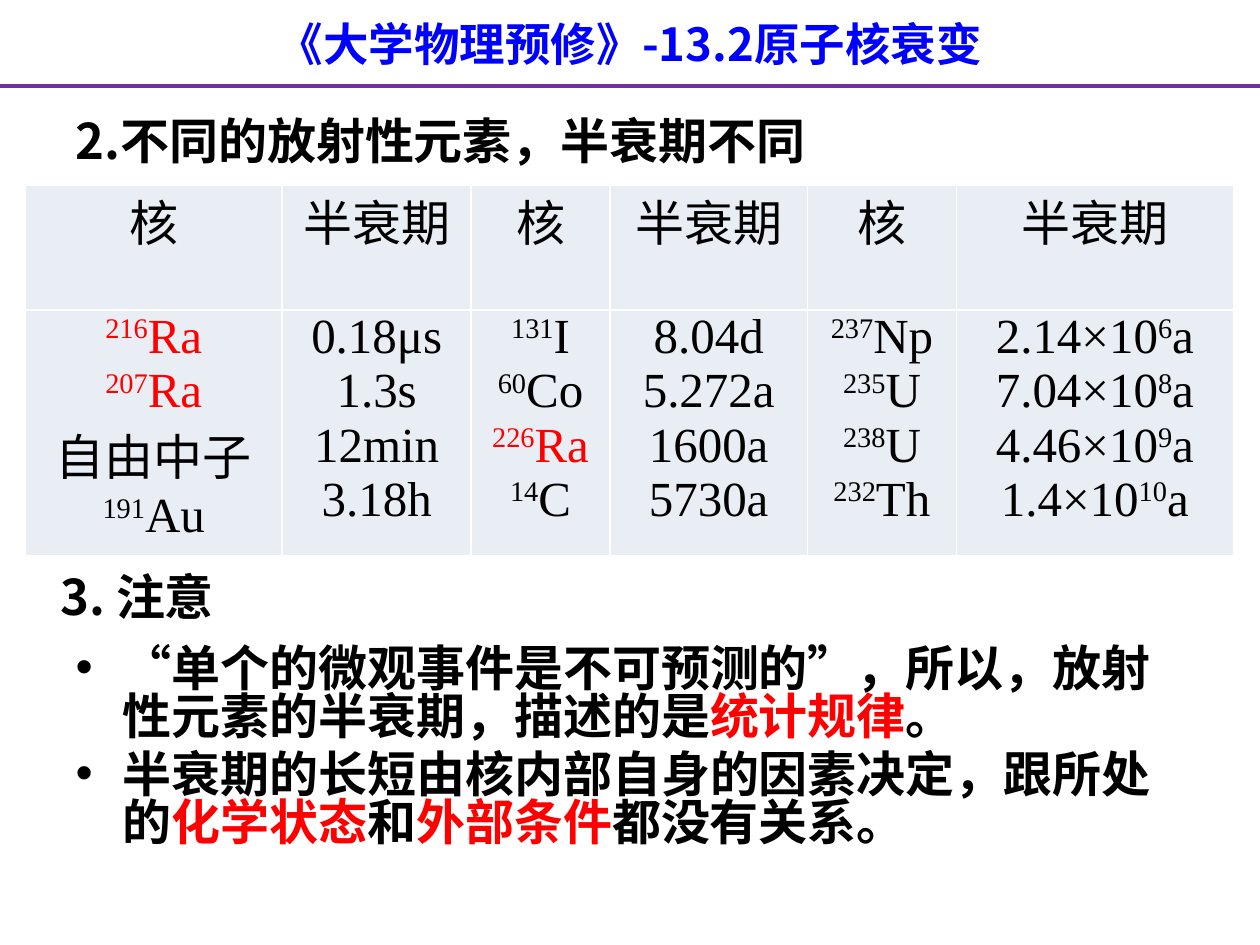
from lxml.etree import SubElement
from pptx import Presentation
from pptx.dml.color import RGBColor
from pptx.enum.lang import MSO_LANGUAGE_ID
from pptx.enum.shapes import MSO_CONNECTOR
from pptx.enum.text import MSO_ANCHOR, MSO_AUTO_SIZE, PP_ALIGN
from pptx.oxml.ns import qn
from pptx.util import Inches, Pt

CENTER, LEFT = PP_ALIGN.CENTER, PP_ALIGN.LEFT
TOP, MIDDLE = MSO_ANCHOR.TOP, MSO_ANCHOR.MIDDLE
NO_FIT = MSO_AUTO_SIZE.NONE
STRAIGHT = MSO_CONNECTOR.STRAIGHT
CHINESE = MSO_LANGUAGE_ID.SIMPLIFIED_CHINESE
SANS, SERIF = "Noto Sans CJK SC", "Times New Roman"
BLACK, RED, BLUE, PURPLE = "000000", "FF0000", "0000FF", "7030A0"
WHITE, CELL_FILL = "FFFFFF", "E9EDF4"

# Content: *red text*, ^superscript^
COURSE = "《大学物理预修》-13.2原子核衰变"
HEADING = "2.不同的放射性元素，半衰期不同"
NOTE_HEADING = "3. 注意"
NOTES = [
    "“单个的微观事件是不可预测的”，所以，放射性元素的半衰期，描述的是*统计规律*。",
    "半衰期的长短由核内部自身的因素决定，跟所处的*化学状态*和*外部条件*都没有关系。",
]
# Column heading, width, entries
COLUMNS = [
    ("核", 2.04, ["*^216^Ra*", "*^207^Ra*", "自由中子", "^191^Au"]),
    ("半衰期", 1.5, ["0.18μs", "1.3s", "12min", "3.18h"]),
    ("核", 1.1, ["^131^I", "^60^Co", "*^226^Ra*", "^14^C"]),
    ("半衰期", 1.57, ["8.04d", "5.272a", "1600a", "5730a"]),
    ("核", 1.18, ["^237^Np", "^235^U", "^238^U", "^232^Th"]),
    ("半衰期", 2.2, ["2.14×10^6^a", "7.04×10^8^a", "4.46×10^9^a", "1.4×10^10^a"]),
]
ROW_HEIGHTS = [0.99, 1.95]


def color(value):
    return RGBColor.from_string(value)


def write(frame, lines, size=28, font=SANS, fill=BLACK, bold=True,
          align=LEFT, anchor=TOP, spacing=None, gap=0):
    """Fill a text frame, one paragraph per line of marked text."""
    frame.word_wrap = True
    frame.vertical_anchor = anchor
    for index, line in enumerate(lines):
        paragraph = frame.add_paragraph() if index else frame.paragraphs[0]
        paragraph.alignment = align
        paragraph.line_spacing = spacing
        paragraph.space_before = Pt(gap if index else 0)
        for red, part in enumerate(line.split("*")):
            for raised, text in enumerate(part.split("^")):
                if not text:
                    continue
                run = paragraph.add_run()
                run.text = text
                run.font.size, run.font.bold = Pt(size), bold
                run.font.name = font
                run.font.language_id = CHINESE
                run.font.color.rgb = color(RED if red % 2 else fill)
                properties = run._r.get_or_add_rPr()
                SubElement(properties, qn("a:ea"), typeface=SANS)
                if raised % 2:
                    properties.set("baseline", "30000")


def place(shape, left, top, width, height):
    shape.left, shape.top = Inches(left), Inches(top)
    shape.width, shape.height = Inches(width), Inches(height)
    shape.text_frame.auto_size = NO_FIT


def add_text(slide, box, lines, **style):
    shape = slide.shapes.add_textbox(0, 0, 0, 0)
    place(shape, *box)
    write(shape.text_frame, lines, **style)


def format_cell(cell, lines):
    cell.margin_left = cell.margin_right = Inches(0.13)
    cell.margin_top = cell.margin_bottom = 0
    properties = cell._tc.get_or_add_tcPr()
    for side in ("lnL", "lnR", "lnT", "lnB"):
        border = SubElement(properties, qn("a:" + side), w=str(Pt(1)))
        SubElement(SubElement(border, qn("a:solidFill")), qn("a:srgbClr"), val=WHITE)
    cell.fill.solid()
    cell.fill.fore_color.rgb = color(CELL_FILL)
    write(cell.text_frame, lines, font=SERIF, bold=False, align=CENTER)


presentation = Presentation()
presentation.slide_width, presentation.slide_height = Inches(10), Inches(7.5)
slide = presentation.slides.add_slide(presentation.slide_layouts[1])

# Course banner and rule
add_text(slide, (0, 0.08, 10, 0.54), [COURSE], size=26, fill=BLUE, align=CENTER)
rule = slide.shapes.add_connector(STRAIGHT, 0, Inches(0.68), Inches(10), Inches(0.68))
rule.line.color.rgb = color(PURPLE)
rule.line.width = Pt(2.25)
SubElement(rule._element.spPr, qn("a:effectLst"))

# Headings and notes
title, body = slide.placeholders
place(title, 0.5, 0.68, 8.83, 0.86)
write(title.text_frame, [HEADING], anchor=MIDDLE)
place(body, 0.5, 5.09, 9, 2.2)
write(body.text_frame, NOTES, font=SERIF, spacing=0.82, gap=5.6)
add_text(slide, (0.38, 4.3, 8.83, 0.86), [NOTE_HEADING], anchor=MIDDLE)

# Half-life table
table = slide.shapes.add_table(
    len(ROW_HEIGHTS), len(COLUMNS), Inches(0.2), Inches(1.47),
    Inches(sum(width for _, width, _ in COLUMNS)), Inches(sum(ROW_HEIGHTS))).table
table.first_row = table.horz_banding = False
for row, height in zip(table.rows, ROW_HEIGHTS):
    row.height = Inches(height)
for index, (heading, width, entries) in enumerate(COLUMNS):
    table.columns[index].width = Inches(width)
    format_cell(table.cell(0, index), [heading])
    format_cell(table.cell(1, index), entries)

presentation.save("out.pptx")
